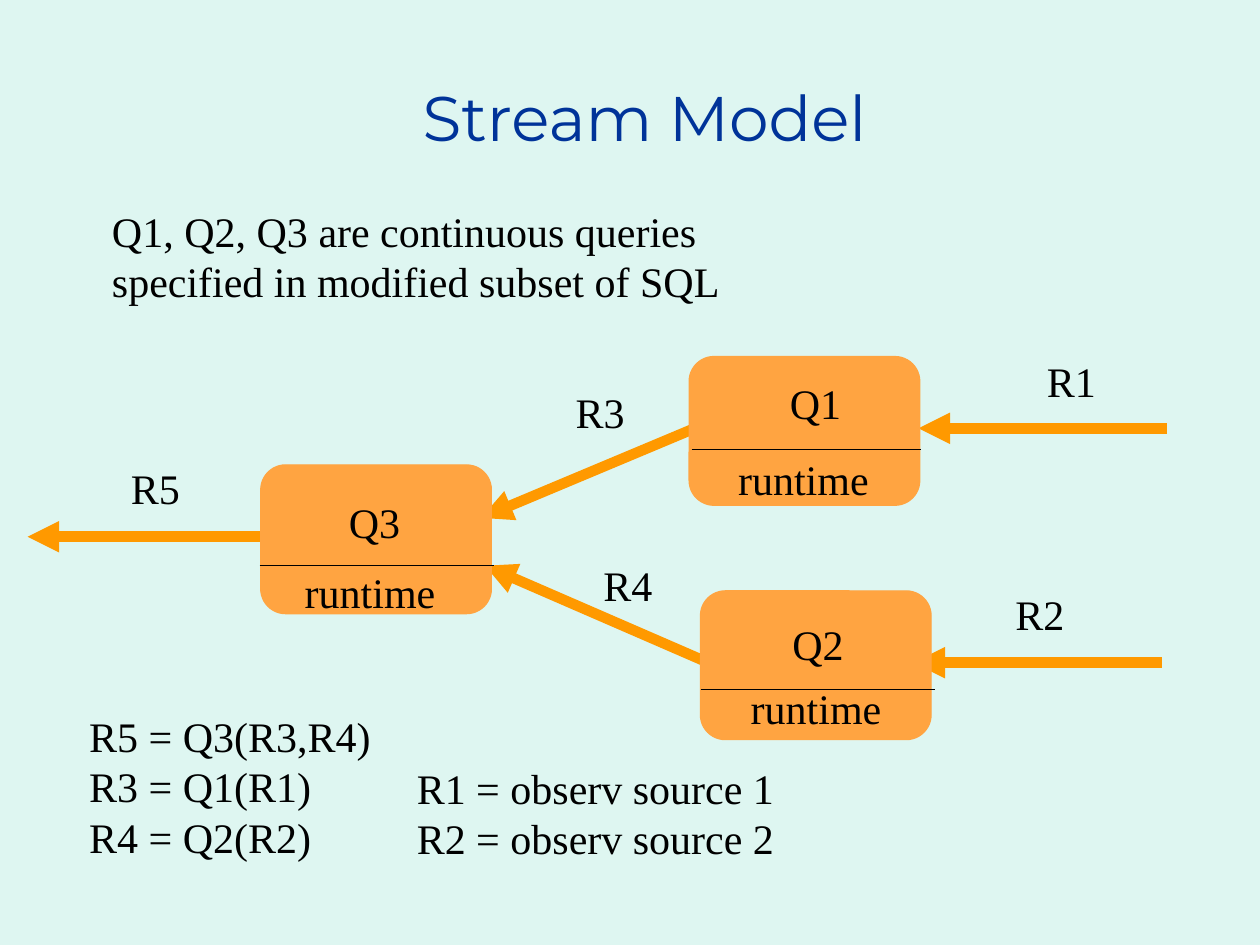
"""Build the Stream Model slide: three continuous queries joined by streams."""
from dataclasses import dataclass

from lxml import etree
from pptx import Presentation
from pptx.dml.color import RGBColor
from pptx.enum.shapes import MSO_CONNECTOR, MSO_SHAPE
from pptx.enum.text import MSO_ANCHOR, MSO_AUTO_SIZE, PP_ALIGN
from pptx.oxml.ns import qn
from pptx.util import Inches, Pt

STRAIGHT = MSO_CONNECTOR.STRAIGHT
ROUNDED = MSO_SHAPE.ROUNDED_RECTANGLE
LEFT, CENTER = PP_ALIGN.LEFT, PP_ALIGN.CENTER
TOP, MIDDLE = MSO_ANCHOR.TOP, MSO_ANCHOR.MIDDLE
FIT_SHAPE, NO_FIT = MSO_AUTO_SIZE.SHAPE_TO_FIT_TEXT, MSO_AUTO_SIZE.NONE


@dataclass(frozen=True)
class Theme:
    """Colours, fonts and sizes of the slide."""
    background: str = "DEF6F1"
    title: str = "003399"
    text: str = "000000"
    arrow: str = "FF9900"
    node: str = "FFA441"
    title_font: str = "Montserrat"
    body_font: str = "Times New Roman"
    title_size: float = 36
    body_size: float = 24
    arrow_width: float = 6
    thin_width: float = 0.75


THEME = Theme()
SLIDE_WIDTH, SLIDE_HEIGHT = Inches(10), Inches(7.5)
LINE_SHARE = 6.67
NODE_SIZE = (18.3, 15.73)
NODE_LABEL_WIDTH, RUNTIME_WIDTH, STREAM_LABEL_WIDTH = 6.2, 12.5, 6

TITLE = ("Stream Model", (7.4, 8, 87.5, 8.67))
INTRO = ("Q1, Q2, Q3 are continuous queries specified in modified subset of SQL",
         (7.9, 21.07, 53.2, 12))
EQUATIONS = [
    ("R5 = Q3(R3,R4)\nR3 = Q1(R1)\nR4 = Q2(R2)", (6.1, 74.53, 24.6, 17.33)),
    ("R1 = observ source 1\nR2 = observ source 2", (32.1, 80, 30.6, 12)),
]
STREAMS = [
    {"name": "R1", "label": (82.1, 36.93), "start": (92.6, 45.33), "end": (72.9, 45.33)},
    {"name": "R5", "label": (9.4, 48.27), "start": (21.9, 56.8), "end": (2.2, 56.8)},
    {"name": "R2", "label": (79.6, 61.6), "start": (92.2, 70.13), "end": (72.5, 70.13)},
    {"name": "R3", "label": (44.7, 40.27), "start": (55.6, 45.07), "end": (38.2, 54.8)},
    {"name": "R4", "label": (46.9, 58.53), "start": (56, 70), "end": (38.5, 59.87)},
]
NODES = [
    {"name": "Q1", "box": (54.7, 37.73), "label": (61.7, 39.33),
     "runtime": (57.6, 47.33), "divider": (54.9, 73.1, 47.6)},
    {"name": "Q3", "box": (20.7, 49.2), "label": (26.7, 51.87),
     "runtime": (23.2, 59.33), "divider": (20.6, 39.2, 59.87)},
    {"name": "Q2", "box": (55.6, 62.53), "label": (61.9, 64.8),
     "runtime": (58.6, 71.6), "divider": (55.6, 74.2, 72.93)},
]


def across(*shares):
    """Turn alternating width and height percentages into slide lengths."""
    sides = (SLIDE_WIDTH, SLIDE_HEIGHT)
    return [round(share * sides[i % 2] / 100) for i, share in enumerate(shares)]


def color(value):
    """Return the colour for a hex string."""
    return RGBColor.from_string(value)


def add_line(slide, start, end, line_color, width, arrow=False):
    """Draw a straight connector, with an arrowhead at its end if asked."""
    connector = slide.shapes.add_connector(STRAIGHT, *across(*start, *end))
    connector.line.color.rgb = color(line_color)
    connector.line.width = Pt(width)
    if arrow:
        etree.SubElement(connector.line._get_or_add_ln(), qn("a:tailEnd"), type="triangle")
    etree.SubElement(connector._element.spPr, qn("a:effectLst"))


def add_text(slide, text, area, wrap=False, title=False):
    """Place text in a box in the title or the body style."""
    frame = slide.shapes.add_textbox(*across(*area)).text_frame
    frame.text = text
    frame.word_wrap = wrap
    frame.auto_size = NO_FIT if title else FIT_SHAPE
    frame.vertical_anchor = MIDDLE if title else TOP
    for paragraph in frame.paragraphs:
        paragraph.alignment = CENTER if title else LEFT
        for run in paragraph.runs:
            run.font.name = THEME.title_font if title else THEME.body_font
            run.font.size = Pt(THEME.title_size if title else THEME.body_size)
            run.font.color.rgb = color(THEME.title if title else THEME.text)


def add_node(slide, node):
    """Draw a query box with its divider, name and runtime label."""
    shape = slide.shapes.add_shape(ROUNDED, *across(*node["box"], *NODE_SIZE))
    shape.shadow.inherit = False
    shape.fill.solid()
    shape.fill.fore_color.rgb = color(THEME.node)
    shape.line.color.rgb = color(THEME.node)
    shape.line.width = Pt(THEME.thin_width)
    left, right, height = node["divider"]
    add_line(slide, (left, height), (right, height), THEME.text, THEME.thin_width)
    add_text(slide, node["name"], (*node["label"], NODE_LABEL_WIDTH, LINE_SHARE))
    add_text(slide, "runtime", (*node["runtime"], RUNTIME_WIDTH, LINE_SHARE))


def main():
    """Assemble and save the slide."""
    presentation = Presentation()
    presentation.slide_width, presentation.slide_height = SLIDE_WIDTH, SLIDE_HEIGHT
    slide = presentation.slides.add_slide(presentation.slide_layouts[6])
    slide.background.fill.solid()
    slide.background.fill.fore_color.rgb = color(THEME.background)

    add_text(slide, *TITLE, wrap=True, title=True)
    for stream in STREAMS:
        add_line(slide, stream["start"], stream["end"], THEME.arrow, THEME.arrow_width, arrow=True)
    for node in NODES:
        add_node(slide, node)
    for stream in STREAMS:
        add_text(slide, stream["name"], (*stream["label"], STREAM_LABEL_WIDTH, LINE_SHARE))
    for text, area in EQUATIONS:
        add_text(slide, text, area)
    add_text(slide, *INTRO, wrap=True)
    presentation.save("out.pptx")


if __name__ == "__main__":
    main()
